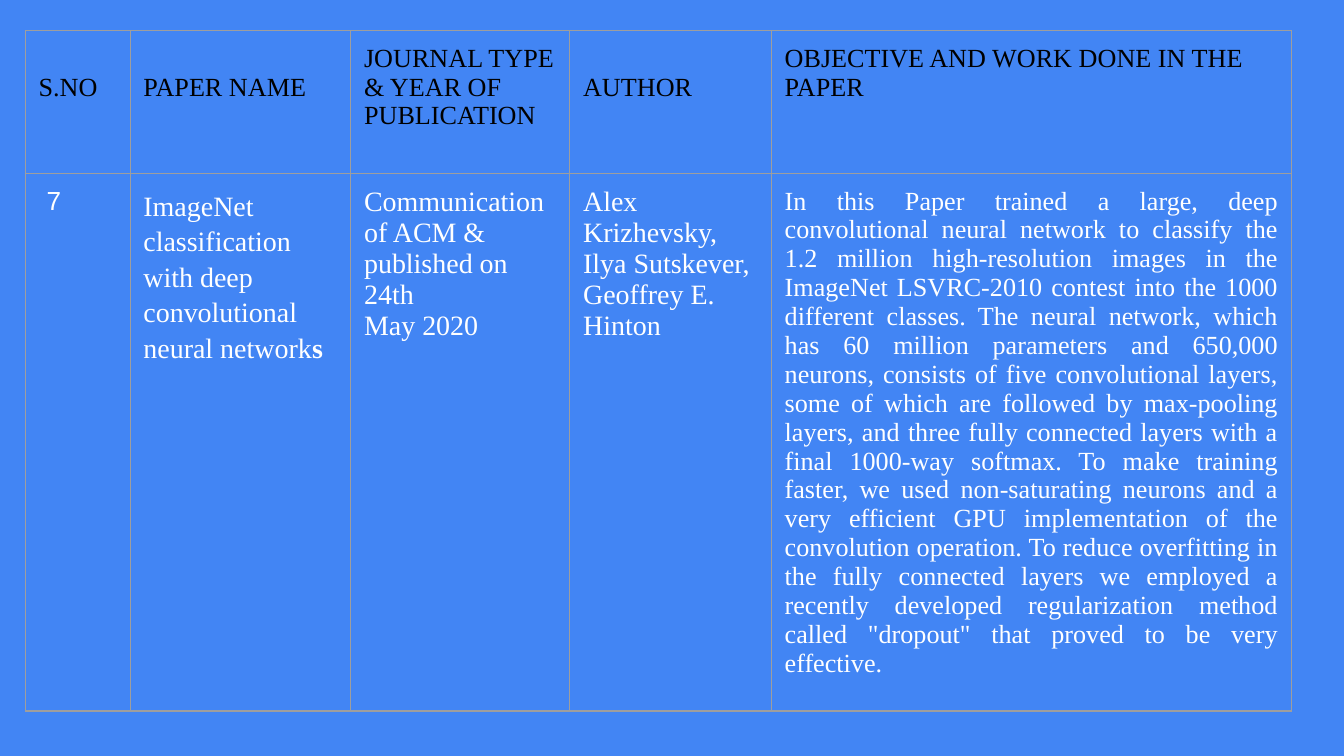
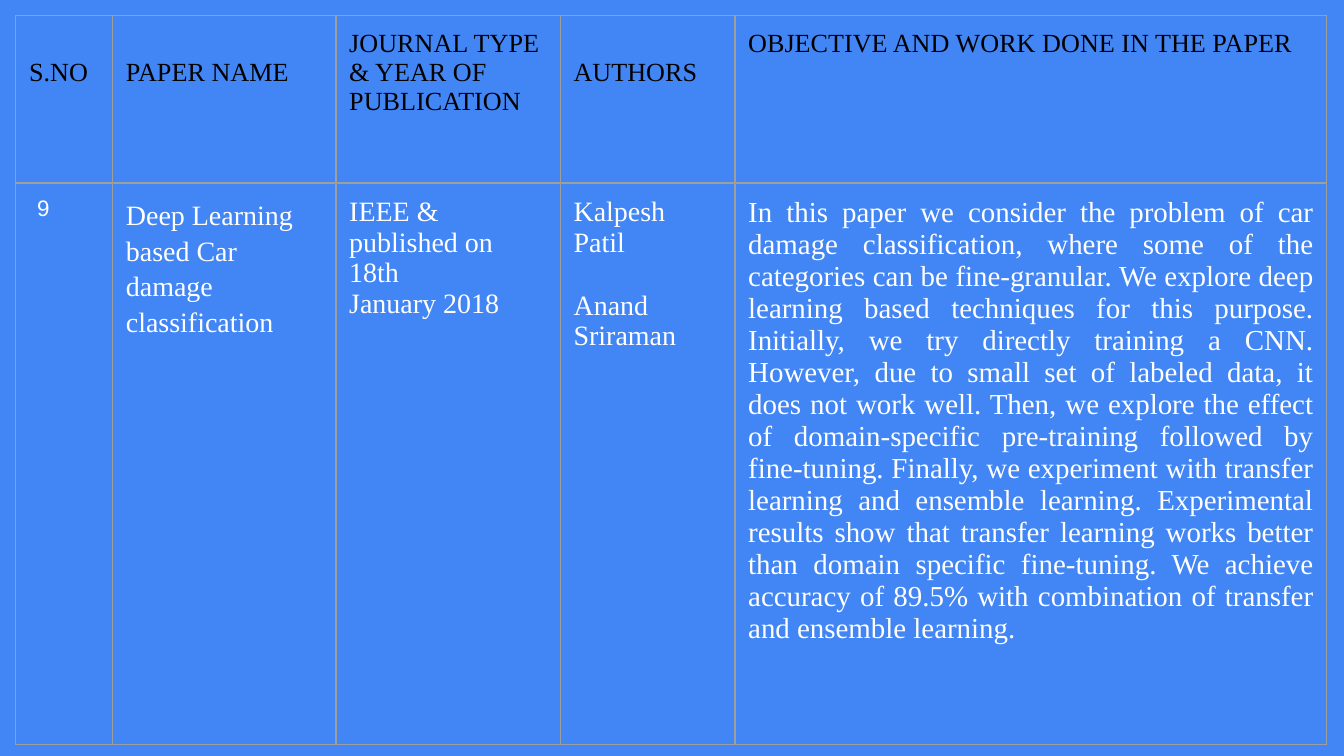
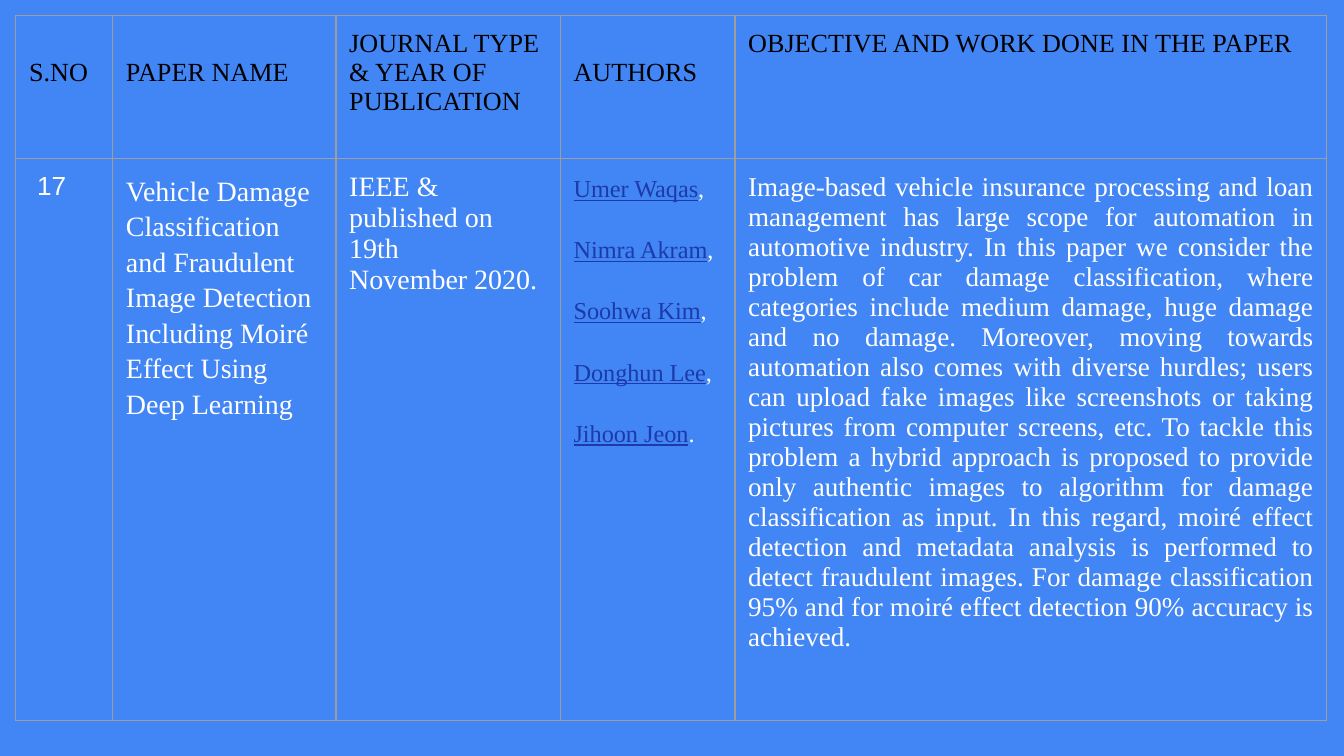
from lxml.etree import SubElement
from pptx import Presentation
from pptx.dml.color import RGBColor
from pptx.enum.text import PP_ALIGN
from pptx.oxml.ns import qn
from pptx.util import Cm, Pt

BLUE, GREY, BLACK, WHITE, NAVY = "4285F4", "9E9E9E", "000000", "FFFFFF", "1C3AA9"
SERIF, SANS = "Times New Roman", "Arial"
PAD = 0.25
DROP = 0.8  # top margin of the headings that sit one line lower


def paint(target, color):
    target.rgb = RGBColor.from_string(color)


def write(cell, lines, size, color, font=SERIF, left=PAD, top=PAD, space=None, gap=0):
    """Fill a bordered cell; a bar in a line starts a new run."""
    props = cell._tc.get_or_add_tcPr()
    for side in ("a:lnL", "a:lnR", "a:lnT", "a:lnB"):
        edge = SubElement(props, qn(side), w=str(Pt(0.75)))
        fill = SubElement(edge, qn("a:solidFill"))
        SubElement(fill, qn("a:srgbClr"), val=GREY)
    cell.fill.background()
    cell.margin_left, cell.margin_top = Cm(left), Cm(top)
    cell.margin_right = cell.margin_bottom = Cm(PAD)
    frame = cell.text_frame
    for i, line in enumerate(lines):
        para = frame.add_paragraph() if i else frame.paragraphs[0]
        for part in line.split("|"):
            para.add_run().text = part
        para.font.name, para.font.size = font, Pt(size)
        paint(para.font.color, color)
        if space:
            para.line_spacing = space
        if i and gap:
            para.space_before = Pt(gap)


WIDE = [1.83, 4.22, 4.24, 3.3, 11.18]
papers = [
    {
        "at": (0.48, 0.58), "cols": [1.98, 4.17, 4.14, 3.81, 9.83], "rows": [2.7, 10.16],
        "who": "AUTHOR", "sizes": [14, 15, 15, 15, 14], "space": None, "gap": 0,
        "body": [
            ["7"],
            ["ImageNet classification with deep convolutional neural network|s"],
            ["Communication of ACM & published on 24th", "May 2020"],
            ["Alex", "Krizhevsky,", "Ilya Sutskever,", "Geoffrey E. Hinton"],
            ["In this Paper trained a large, deep convolutional neural network to classify "
             "the 1.2 million high-resolution images in the ImageNet LSVRC-2010 contest into "
             "the 1000 different classes. The neural network, which has 60 million parameters "
             "and 650,000 neurons, consists of five convolutional layers, some of which are "
             "followed by max-pooling layers, and three fully connected layers with a final "
             "1000-way softmax. To make training faster, we used non-saturating neurons and a "
             "very efficient GPU implementation of the convolution operation. To reduce "
             "overfitting in the fully connected layers we employed a recently developed "
             "regularization method called \"dropout\" that proved to be very effective."],
        ],
    },
    {
        "at": (0.3, 0.3), "cols": WIDE, "rows": [3.16, 10.62],
        "who": "AUTHORS", "sizes": [12, 15, 15, 15, 15.5], "space": None, "gap": 17.2,
        "body": [
            ["9"],
            ["Deep Learning based Car damage classification"],
            ["IEEE & published on 18th", "January 2018"],
            ["Kalpesh Patil", "Anand Sriraman"],
            ["In this paper we consider the problem of car damage classification, where some "
             "of the categories can be fine-granular. We explore deep learning based "
             "techniques for this purpose. Initially, we try directly training a CNN. "
             "However, due to small set of labeled data, it does not work well. Then, we "
             "explore the effect of domain-specific pre-training followed by fine-tuning. "
             "Finally, we experiment with transfer learning and ensemble learning. "
             "Experimental results show that transfer learning works better than domain "
             "specific fine-tuning. We achieve accuracy of 89.5% with combination of transfer "
             "and ensemble learning."],
        ],
    },
    {
        "at": (0.3, 0.3), "cols": WIDE, "rows": [2.7, 10.62],
        "who": "AUTHORS", "sizes": [14, 15, 15, 13, 14.5], "space": 1.15, "gap": 16.4,
        "body": [
            ["17"],
            ["Vehicle Damage Classification and Fraudulent Image Detection Including Moiré "
             "Effect Using Deep Learning"],
            ["IEEE & published on 19th", "November 2020."],
            ["Umer Waqas|,", "Nimra Akram|,", "Soohwa Kim|,", "Donghun Lee|,", "Jihoon Jeon|."],
            ["Image-based vehicle insurance processing and loan management has large scope for "
             "automation in automotive industry. In this paper we consider the problem of car "
             "damage classification, where categories include medium damage, huge damage and "
             "no damage. Moreover, moving towards automation also comes with diverse hurdles; "
             "users can upload fake images like screenshots or taking pictures from computer "
             "screens, etc. To tackle this problem a hybrid approach is proposed to provide "
             "only authentic images to algorithm for damage classification as input. In this "
             "regard, moiré effect detection and metadata analysis is performed to detect "
             "fraudulent images. For damage classification 95% and for moiré effect detection "
             "90% accuracy is achieved."],
        ],
    },
]

deck = Presentation()
deck.slide_width, deck.slide_height = Cm(25.4), Cm(14.29)
back = deck.slide_master.background.fill
back.solid()
paint(back.fore_color, BLUE)

for paper in papers:
    slide = deck.slides.add_slide(deck.slide_layouts[6])
    left, top = paper["at"]
    cols, rows = paper["cols"], paper["rows"]
    table = slide.shapes.add_table(
        2, 5, Cm(left), Cm(top), Cm(sum(cols)), Cm(sum(rows))).table
    table.first_row = table.horz_banding = False
    for col, width in zip(table.columns, cols):
        col.width = Cm(width)
    for row, height in zip(table.rows, rows):
        row.height = Cm(height)

    heads = ["S.NO", "PAPER NAME", "JOURNAL TYPE & YEAR OF PUBLICATION", paper["who"],
             "OBJECTIVE AND WORK DONE IN THE PAPER"]
    for i, head in enumerate(heads):
        write(table.cell(0, i), [head], 14, BLACK, top=DROP if i in (0, 1, 3) else PAD)

    styles = [{"font": SANS, "left": 0.4}, {"space": 1.15}, {},
              {"space": paper["space"], "gap": paper["gap"]}, {}]
    for i, (lines, size, style) in enumerate(zip(paper["body"], paper["sizes"], styles)):
        write(table.cell(1, i), lines, size, WHITE, **style)

    title, names, goal = (table.cell(1, i).text_frame.paragraphs for i in (1, 3, 4))
    for run in title[0].runs[1:]:
        run.font.bold = True
    for para in names:
        if len(para.runs) > 1:
            name = para.runs[0].font
            name.underline = True
            paint(name.color, NAVY)
    goal[0].alignment = PP_ALIGN.JUSTIFY

deck.save("out.pptx")
